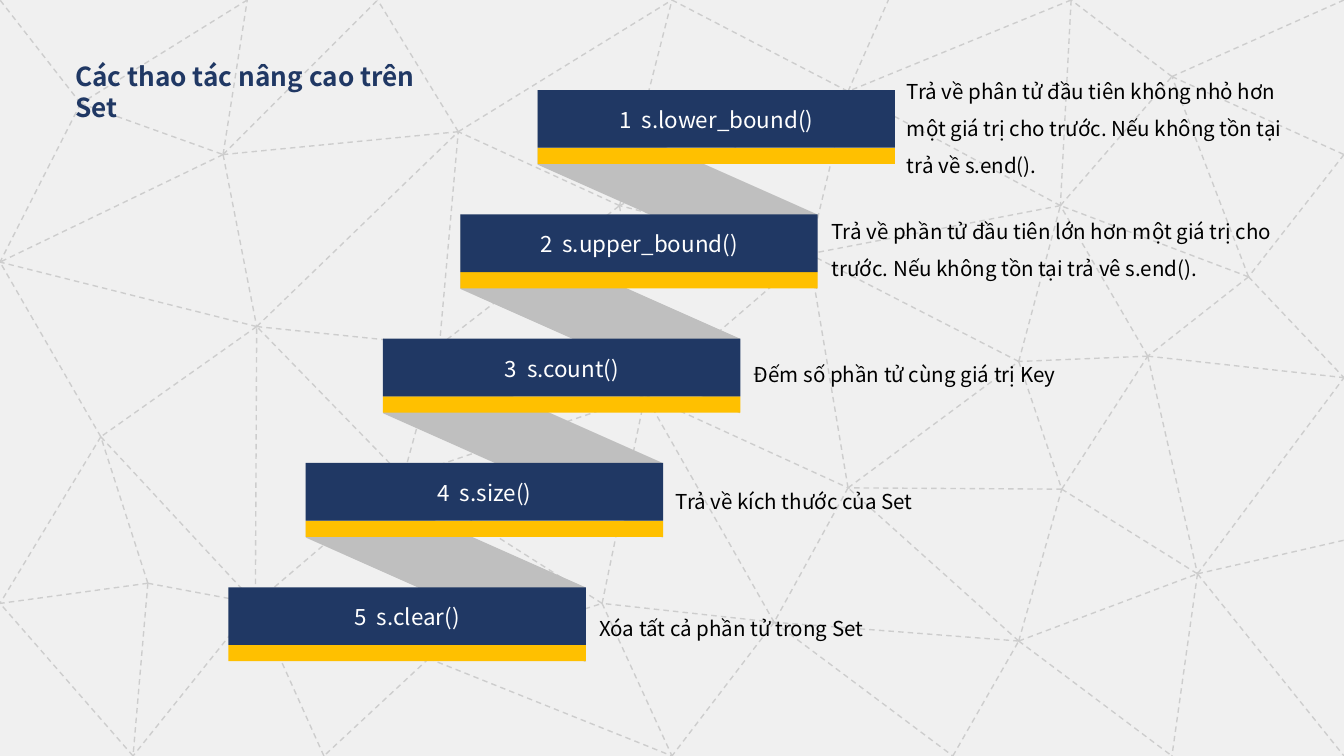
from lxml.etree import SubElement as Sub
from pptx import Presentation
from pptx.dml.color import RGBColor
from pptx.enum.dml import MSO_LINE as Dash
from pptx.enum.shapes import MSO_CONNECTOR as Link, MSO_SHAPE as Kind
from pptx.enum.text import MSO_AUTO_SIZE as Fit, PP_ALIGN as Align
from pptx.oxml.ns import qn
from pptx.util import Inches, Pt

WIDE = 10
HIGH = WIDE * 9 / 16
NAVY, GOLD, GREY = "203864", "FFC000", "BFBFBF"
PALE, MESH, WHITE, BLACK = "F0F0F0", "CDCDCD", "FFFFFF", "000000"

NODES = {
    "a": (1.66, 1.15), "b": (1.84, 0), "c": (0, 1.95), "d": (2.81, 0),
    "e": (3.41, 0.98), "f": (1.91, 2.43), "g": (3.27, 2.57), "h": (3, 3.55),
    "i": (1.9, 4.49), "j": (0.75, 3.25), "k": (0, 4.49), "l": (1.1, 4.34),
    "m": (0.99, HIGH), "n": (3.19, 4.9), "o": (2.41, HIGH), "p": (4.48, 4.49),
    "q": (5, HIGH), "r": (4.8, 2.94), "s": (4.61, 1.53), "t": (5, 0),
    "u": (6.31, 0.68), "v": (6.02, 1.89), "w": (6.31, 3.63), "x": (5.76, 4.63),
    "y": (6.61, 0), "z": (7.89, 1.53), "A": (7.58, 2.69), "B": (7.9, 3.64),
    "C": (7.58, 4.77), "D": (7.09, HIGH), "E": (8.72, HIGH), "F": (8.54, 2.65),
    "G": (8.72, 0.57), "H": (7.97, 0), "I": (WIDE, 0), "J": (WIDE, 1.15),
    "K": (9.29, 2.06), "L": (WIDE, 2.81), "M": (8.91, 4.27), "N": (WIDE, HIGH),
    "O": (WIDE, 4.02), "P": (0.6, 0.77), "Q": (0, 0),
}
EDGES = (
    "ab ac ad ea af fe fc fg gh hf hi if fj ji jc jk lk im mk in nh no oi np "
    "nq pq ph pr rh gr ge gs sr se ed et st tu us uv vs vr rw wv wx xp xq uy "
    "zu zv wA Az AB Bw Cw xD DC Cx CB CE Fz zG GH GI GJ JK KG Kz KF KL BM ML "
    "MN ME Av BF FL FA FM Hz xr lj li lm CM MO bP Pa Pc PQ Hu"
)
STEPS = [
    ("s.lower_bound()", "Trả về phân tử đầu tiên không nhỏ hơn một giá trị cho trước. "
     "Nếu không tồn tại trả về s.end().", (6.65, 0.45, 3.11, 0.93)),
    ("s.upper_bound()", "Trả về phần tử đầu tiên lớn hơn một giá trị cho trước. "
     "Nếu không tồn tại trả vê s.end().", (6.09, 1.49, 3.67, 0.66)),
    ("s.count()", "Đếm số phần tử cùng giá trị Key", (5.51, 2.55, 3.82, 0.38)),
    ("s.size()", "Trả về kích thước của Set", (4.93, 3.5, 3.96, 0.38)),
    ("s.clear()", "Xóa tất cả phần tử trong Set", (4.36, 4.44, 3.85, 0.38)),
]
LEFT, TOP = 4, 0.67
SHIFT, DROP = 2.3 / 4, 3.7 / 4


def tint(code):
    return RGBColor.from_string(code)


class Page:
    face = "Noto Sans CJK SC"

    def __init__(self, slide):
        self.slide = slide
        self.top()

    def top(self):
        self.host = self.slide.shapes

    def group(self):
        self.host = self.slide.shapes.add_group_shape().shapes

    def shape(self, kind, box, fill):
        item = self.host.add_shape(kind, *map(Inches, box))
        item.shadow.inherit = False
        item.fill.solid()
        item.fill.fore_color.rgb = tint(fill)
        item.line.fill.background()
        return item

    def ramp(self, box):
        item = self.shape(Kind.PARALLELOGRAM, box, GREY)
        item.adjustments[0] = 0.625
        item.rotation = 90

    def line(self, start, end):
        item = self.host.add_connector(Link.STRAIGHT, *map(Inches, start + end))
        item.line.color.rgb = tint(MESH)
        item.line.width = Pt(0.75)
        item.line.dash_style = Dash.DASH
        Sub(item._element.spPr, qn("a:effectLst"))

    def text(self, words, box, size, color, bold=False, **style):
        frame = self.host.add_textbox(*map(Inches, box)).text_frame
        frame.word_wrap = True
        frame.auto_size = Fit.SHAPE_TO_FIT_TEXT
        para = frame.paragraphs[0]
        run = para.add_run()
        run.text = words
        look = {"name": self.face, "size": Pt(size), "bold": bold}
        for part, values in ((run.font, look), (para, style)):
            for key, value in values.items():
                setattr(part, key, value)
        run.font.color.rgb = tint(color)


def main():
    deck = Presentation()
    deck.slide_width, deck.slide_height = Inches(WIDE), Inches(HIGH)
    page = Page(deck.slides.add_slide(deck.slide_layouts[6]))

    page.shape(Kind.RECTANGLE, (0, 0, WIDE, HIGH), PALE)
    page.group()
    for start, end in EDGES.split():
        page.line(NODES[start], NODES[end])

    page.top()
    for i in range(len(STEPS) - 1):
        page.ramp((LEFT + 0.3 - i * SHIFT, TOP - 0.3 + i * DROP, 1.48, 2.08))

    for i, (call, note, box) in enumerate(STEPS):
        x, y = LEFT - i * SHIFT, TOP + i * DROP
        page.group()
        page.shape(Kind.RECTANGLE, (x, y + 0.43, 2.66, 0.12), GOLD)
        page.shape(Kind.RECTANGLE, (x, y, 2.66, 0.43), NAVY)
        page.text(f"{i + 1}  {call}", (x + 0.16, y + 0.07, 2.34, 0.3), 12, WHITE,
                  alignment=Align.CENTER)
        page.top()
        page.text(note, box, 11, BLACK, line_spacing=1.5)

    page.text("Các thao tác nâng cao trên Set", (0.46, 0.4, 2.85, 0.32), 14, NAVY, True)
    deck.save("out.pptx")


if __name__ == "__main__":
    main()
